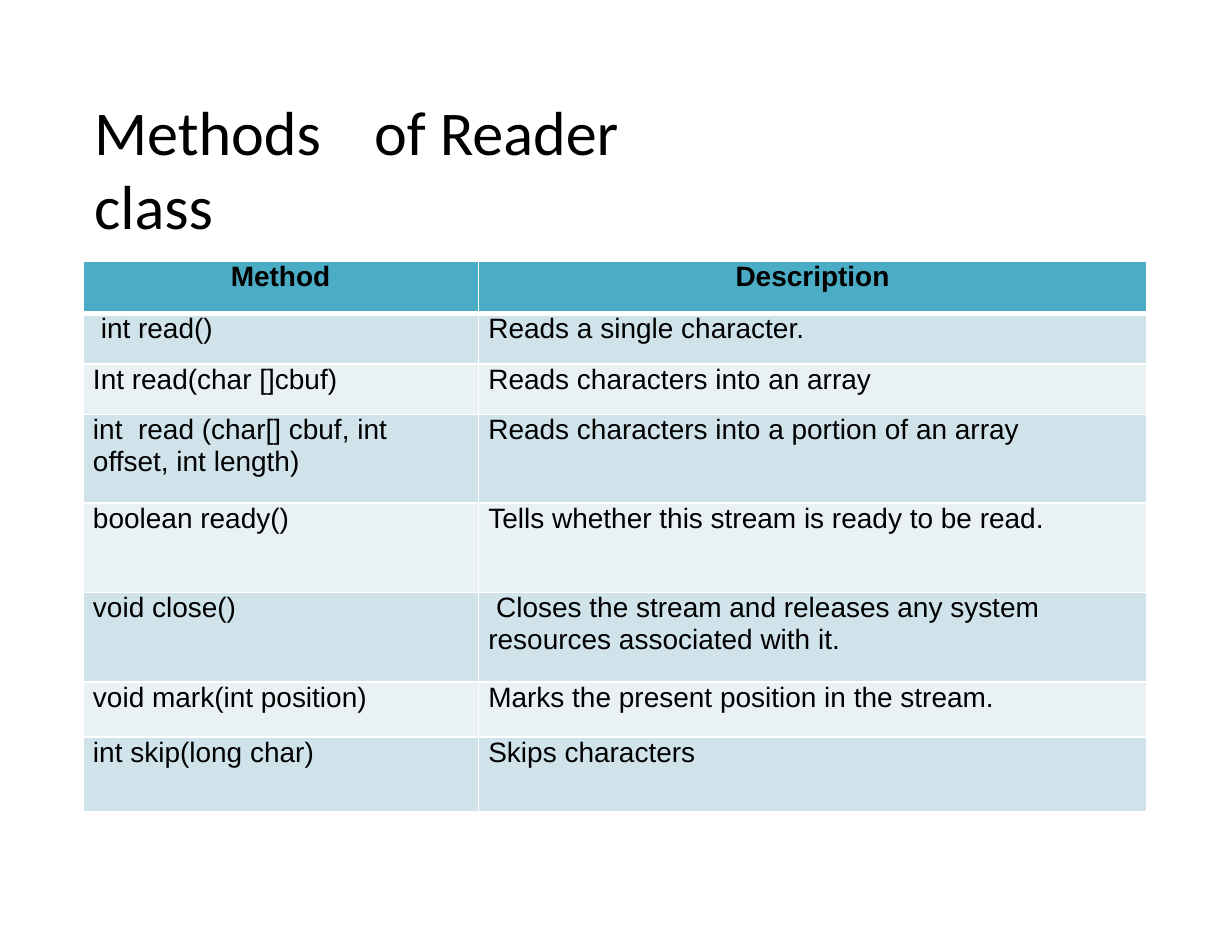
from dataclasses import dataclass

from lxml.etree import SubElement
from pptx import Presentation
from pptx.dml.color import RGBColor
from pptx.enum.text import PP_ALIGN
from pptx.oxml.ns import qn
from pptx.util import Inches, Pt

BLACK = RGBColor(0x00, 0x00, 0x00)
WHITE = RGBColor(0xFF, 0xFF, 0xFF)
TEAL = RGBColor(0x4B, 0xAC, 0xC6)
BAND_DARK = RGBColor(0xD0, 0xE3, 0xEA)
BAND_LIGHT = RGBColor(0xE9, 0xF1, 0xF5)

THIN_RULE = 1.06
HEADER_RULE = 3.1
CELL_INDENT = 0.09


@dataclass
class MethodRow:
    method: str
    description: str
    height: float
    method_indent: float = CELL_INDENT
    method_right: float = 0
    description_first: float = 0


HEADER = MethodRow("Method", "Description", 0.47, method_indent=0)
METHODS = [
    MethodRow("int read()", "Reads a single character.", 0.45, method_indent=0.16),
    MethodRow("Int read(char []cbuf)", "Reads characters into an array", 0.45),
    MethodRow("int  read (char[] cbuf, int offset, int length)",
              "Reads characters into a portion of an array", 0.79, method_right=0.6),
    MethodRow("boolean ready()", "Tells whether this stream is ready to be read.", 0.8),
    MethodRow("void close()",
              "Closes the stream and releases any system resources associated with it.",
              0.8, description_first=0.07),
    MethodRow("void mark(int position)", "Marks the present position in the stream.", 0.49),
    MethodRow("int skip(long char)", "Skips characters", 0.67),
]


def write_text(text_frame, text: str, *, font: str = "Arial", size: float = 18,
               bold: bool = False, align=PP_ALIGN.LEFT, indent: float = 0,
               first_line: float = 0, tab: float = 0) -> None:
    text_frame.word_wrap = True
    paragraph = text_frame.paragraphs[0]
    paragraph.alignment = align
    properties = paragraph._p.get_or_add_pPr()
    properties.set("marL", str(Inches(indent)))
    properties.set("indent", str(Inches(first_line)))
    if tab:
        tab_list = SubElement(properties, qn("a:tabLst"))
        SubElement(tab_list, qn("a:tab"), pos=str(Inches(tab)), algn="l")
    run = paragraph.add_run()
    run.text = text
    run.font.name = font
    run.font.size = Pt(size)
    run.font.bold = bold
    run.font.color.rgb = BLACK


def set_borders(cell, top: float, bottom: float) -> None:
    properties = cell._tc.get_or_add_tcPr()
    widths = {"lnL": THIN_RULE, "lnR": THIN_RULE, "lnT": top, "lnB": bottom}
    for side, width in widths.items():
        line = SubElement(properties, qn(f"a:{side}"), w=str(Pt(width)))
        fill = SubElement(line, qn("a:solidFill"))
        SubElement(fill, qn("a:srgbClr"), val=str(WHITE))


def fill_cell(cell, text: str, color: RGBColor, *, top: float = THIN_RULE,
              bottom: float = THIN_RULE, right: float = 0, **text_format) -> None:
    cell.margin_left = cell.margin_top = cell.margin_bottom = 0
    cell.margin_right = Inches(right)
    set_borders(cell, top, bottom)
    cell.fill.solid()
    cell.fill.fore_color.rgb = color
    write_text(cell.text_frame, text, **text_format)


def add_title(slide) -> None:
    title = slide.shapes.add_textbox(Inches(0.83), Inches(0.83), Inches(5.56), Inches(0.67))
    frame = title.text_frame
    frame.margin_left = frame.margin_top = frame.margin_right = frame.margin_bottom = 0
    write_text(frame, "Methods\tof Reader class", font="Calibri", size=40,
               indent=0.01, tab=2.07)


def add_method_table(slide) -> None:
    rows = [HEADER, *METHODS]
    table = slide.shapes.add_table(len(rows), 2, Inches(0.74), Inches(2.33),
                                   Inches(9.5), Inches(4.92)).table
    for column, width in zip(table.columns, (3.53, 5.97)):
        column.width = Inches(width)
    for table_row, row in zip(table.rows, rows):
        table_row.height = Inches(row.height)

    # Header row
    for column, text in enumerate((HEADER.method, HEADER.description)):
        fill_cell(table.cell(0, column), text, TEAL, bottom=HEADER_RULE,
                  bold=True, align=PP_ALIGN.CENTER)

    # Banded body rows
    for index, row in enumerate(METHODS, start=1):
        color = BAND_DARK if index % 2 else BAND_LIGHT
        top = HEADER_RULE if index == 1 else THIN_RULE
        fill_cell(table.cell(index, 0), row.method, color, top=top,
                  right=row.method_right, indent=row.method_indent)
        fill_cell(table.cell(index, 1), row.description, color, top=top,
                  indent=CELL_INDENT, first_line=row.description_first)


def main() -> None:
    presentation = Presentation()
    presentation.slide_width = Inches(11)
    presentation.slide_height = Inches(8.5)
    slide = presentation.slides.add_slide(presentation.slide_layouts[6])
    add_title(slide)
    add_method_table(slide)
    presentation.save("out.pptx")


if __name__ == "__main__":
    main()
